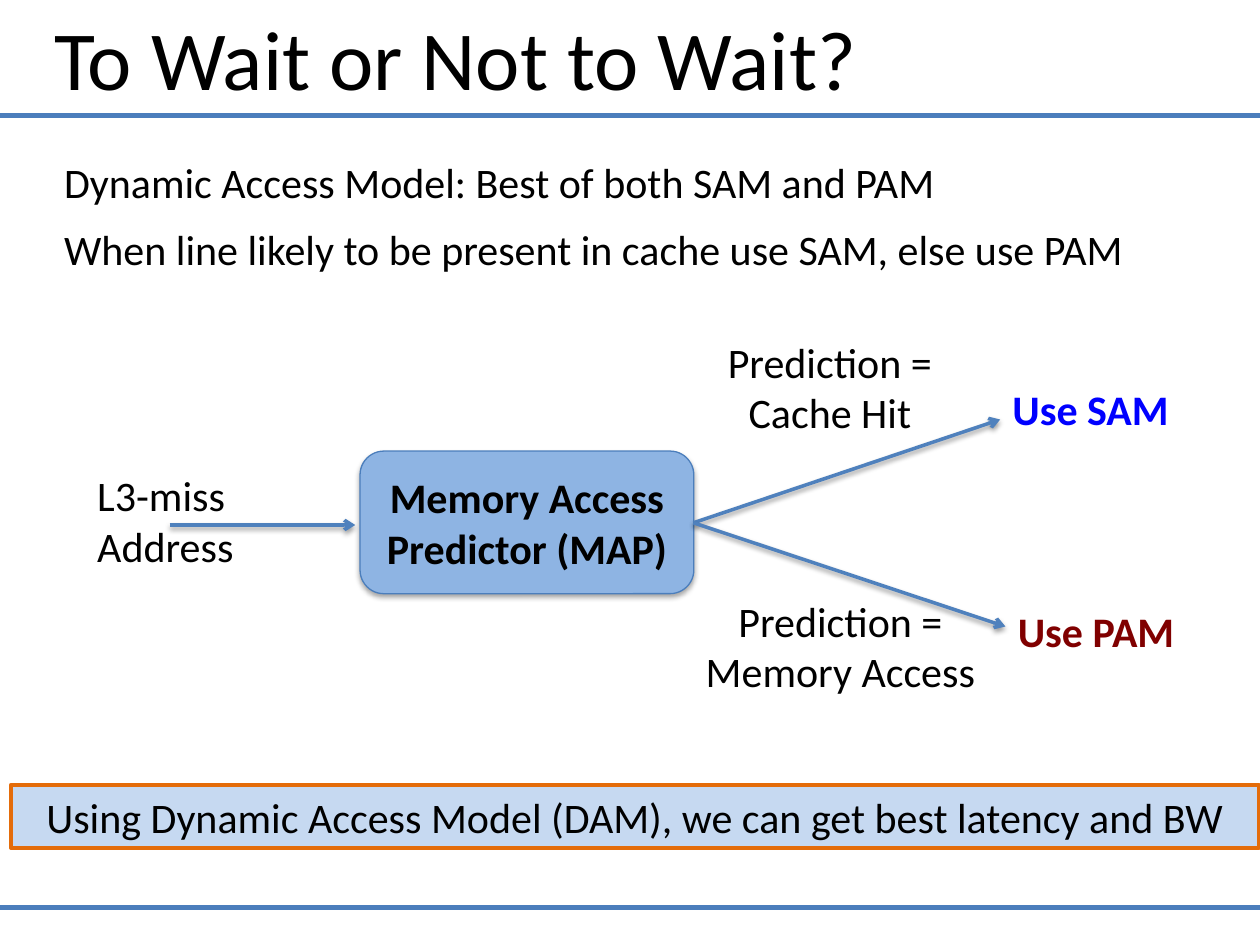
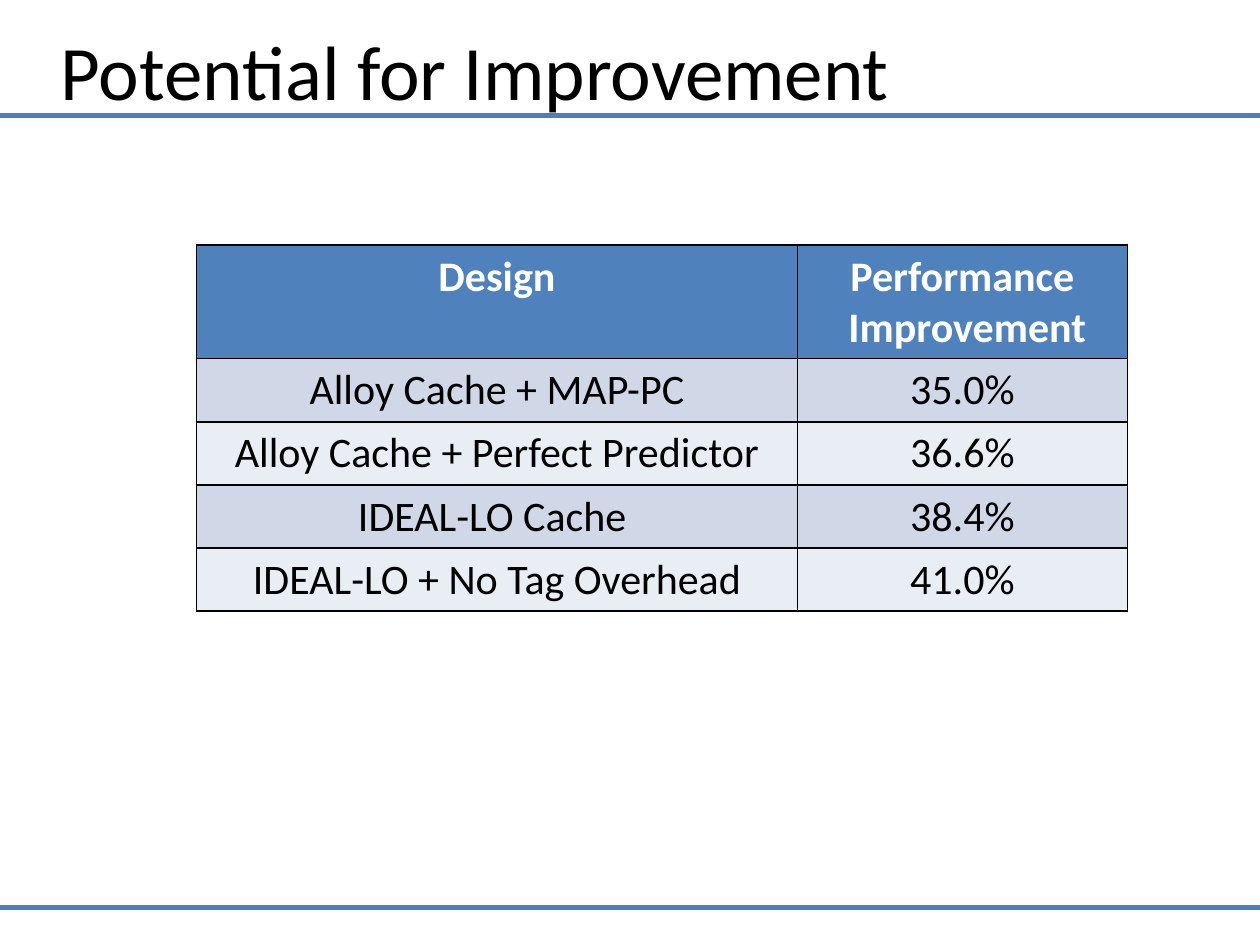
import pptx
import pptx.dml.color
import pptx.enum.shapes
import pptx.enum.text
import pptx.oxml.ns
import pptx.util
from dataclasses import dataclass
from lxml import etree

Pt = pptx.util.Pt
qn = pptx.oxml.ns.qn
KIND = pptx.enum.shapes.MSO_SHAPE
ALIGN = pptx.enum.text.PP_ALIGN
ANCHOR = pptx.enum.text.MSO_ANCHOR


@dataclass(frozen=True)
class Theme:
    font: str = "Calibri"
    wide: int = 720
    high: int = 540
    body: int = 24
    black: str = "000000"
    white: str = "FFFFFF"
    rule: str = "4B7EBC"
    blue: str = "4F81BD"
    box: str = "8EB4E3"
    note: str = "C6D9F1"
    edge: str = "E46C0A"
    sam: str = "0000FF"
    pam: str = "800000"
    bands: tuple = ("D0D8E8", "E9EDF4")


T = Theme()


def rgb(code):
    return pptx.dml.color.RGBColor.from_string(code)


def write(frame, text, size=T.body, color=T.black, bold=False,
          align=ALIGN.LEFT, gap=0, wrap=True, anchor=ANCHOR.TOP):
    """Fill a text frame, one paragraph for each line of text."""
    frame.word_wrap = wrap
    frame.vertical_anchor = anchor
    for i, line in enumerate(text.split("\n")):
        para = frame.paragraphs[0] if i == 0 else frame.add_paragraph()
        para.alignment = align
        para.space_before = Pt(gap if i else 0)
        run = para.add_run()
        run.text = line
        run.font.name = T.font
        run.font.size = Pt(size)
        run.font.bold = bold
        run.font.color.rgb = rgb(color)


def label(slide, text, left, top, width, height, wrap=False, **style):
    area = slide.shapes.add_textbox(Pt(left), Pt(top), Pt(width), Pt(height))
    write(area.text_frame, text, wrap=wrap, **style)


def stroke(line, color, width):
    line.color.rgb = rgb(color)
    line.width = Pt(width)


def shade(item, alpha, dist):
    """Give a shape or line a soft shadow that falls straight down."""
    props = item._element.spPr
    effects = props.find(qn("a:effectLst"))
    if effects is None:
        effects = etree.SubElement(props, qn("a:effectLst"))
    cast = etree.SubElement(effects, qn("a:outerShdw"), blurRad=str(Pt(3.1)),
                            dist=str(Pt(dist)), dir="5400000", rotWithShape="0")
    tint = etree.SubElement(cast, qn("a:srgbClr"), val=T.black)
    etree.SubElement(tint, qn("a:alpha"), val=str(alpha * 1000))


def panel(slide, kind, text, left, top, width, height, fill, edge, weight, **style):
    shape = slide.shapes.add_shape(kind, Pt(left), Pt(top), Pt(width), Pt(height))
    shape.shadow.inherit = False
    shape.fill.solid()
    shape.fill.fore_color.rgb = rgb(fill)
    stroke(shape.line, edge, weight)
    write(shape.text_frame, text, align=ALIGN.CENTER, **style)
    return shape


def link(slide, start, end, color, weight):
    line = slide.shapes.add_connector(
        pptx.enum.shapes.MSO_CONNECTOR.STRAIGHT, *map(Pt, start + end))
    stroke(line.line, color, weight)
    etree.SubElement(line._element.spPr, qn("a:effectLst"))
    return line


def arrow(slide, start, end):
    line = link(slide, start, end, T.blue, 2)
    etree.SubElement(line.line._get_or_add_ln(), qn("a:tailEnd"), type="arrow")
    shade(line, 38, 1.6)


def frame_cell(cell):
    props = cell._tc.get_or_add_tcPr()
    for side in ("lnL", "lnR", "lnT", "lnB"):
        line = etree.SubElement(props, qn("a:" + side), w=str(Pt(1)))
        fill = etree.SubElement(line, qn("a:solidFill"))
        etree.SubElement(fill, qn("a:srgbClr"), val=T.black)


def grid(slide, data, left, top, widths, heights):
    table = slide.shapes.add_table(
        len(data), len(widths), Pt(left), Pt(top),
        Pt(sum(widths)), Pt(sum(heights))).table
    table.first_row = table.horz_banding = False
    for col, width in zip(table.columns, widths):
        col.width = Pt(width)
    for r, (row, height) in enumerate(zip(data, heights)):
        table.rows[r].height = Pt(height)
        head = r == 0
        for c, text in enumerate(row):
            cell = table.cell(r, c)
            frame_cell(cell)
            cell.fill.solid()
            cell.fill.fore_color.rgb = rgb(T.blue if head else T.bands[(r - 1) % 2])
            write(cell.text_frame, text, bold=head, align=ALIGN.CENTER,
                  color=T.white if head else T.black)


def page(deck):
    """Add a blank slide with the two shared rules."""
    slide = deck.slides.add_slide(deck.slide_layouts[6])
    for y in (66, 518.75):
        link(slide, (0, y), (T.wide, y), T.rule, 3)
    return slide


def wait_page(deck):
    slide = page(deck)
    label(slide, "To Wait or Not to Wait?", 24, 0, 678, 69, wrap=True, size=48)
    panel(slide, KIND.RECTANGLE,
          "Using Dynamic Access Model (DAM), we can get best latency and BW",
          6.25, 448.5, 713, 36, T.note, T.edge, 2.25)
    label(slide, "Dynamic Access Model: Best of both SAM and PAM\n"
          "When line likely to be present in cache use SAM, else use PAM",
          29.5, 85.75, 624, 75, gap=9.75)

    # Address into the predictor
    arrow(slide, (97, 300), (203, 300))
    core = panel(slide, KIND.ROUNDED_RECTANGLE, "Memory Access\nPredictor (MAP)",
                 205.75, 257.75, 190.75, 81.5, T.box, T.rule, 0.75,
                 bold=True, anchor=ANCHOR.MIDDLE)
    shade(core, 35, 1.8)
    label(slide, "L3-miss\nAddress", 48.5, 265, 93.5, 65.5)

    # Two outcomes
    for tip in ((571.5, 239.75), (574.5, 358)):
        arrow(slide, (396.25, 298.75), tip)
    label(slide, "Prediction =\nCache Hit", 408, 188.5, 132.5, 65.5,
          align=ALIGN.CENTER)
    label(slide, "Prediction =\nMemory Access", 395.25, 336.5, 170, 65.5,
          align=ALIGN.CENTER)
    label(slide, "Use PAM", 574.5, 342.5, 106.5, 36, color=T.pam, bold=True)
    label(slide, "Use SAM", 571.5, 215.5, 105, 36, color=T.sam, bold=True)


def gain_page(deck):
    slide = page(deck)
    label(slide, "Potential for Improvement", 27.5, 10, 497, 60.5, size=44)
    data = [
        ("Design", "Performance\n Improvement"),
        ("Alloy Cache + MAP-PC", "35.0%"),
        ("Alloy Cache + Perfect Predictor", "36.6%"),
        ("IDEAL-LO Cache ", "38.4%"),
        ("IDEAL-LO + No Tag Overhead", "41.0%"),
    ]
    grid(slide, data, 112.25, 140, (343.5, 188.5), [65] + [36] * 4)


def main():
    deck = pptx.Presentation()
    deck.slide_width, deck.slide_height = Pt(T.wide), Pt(T.high)
    wait_page(deck)
    gain_page(deck)
    deck.save("out.pptx")


if __name__ == "__main__":
    main()
